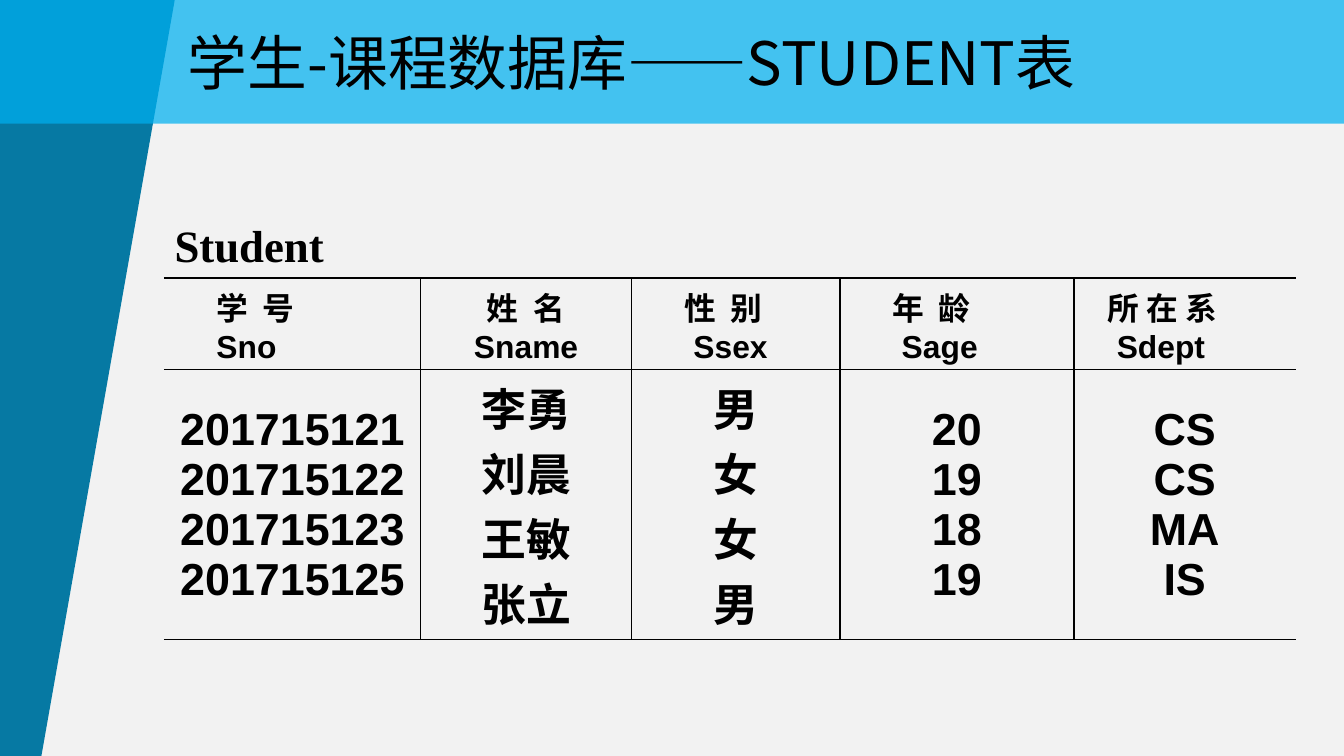
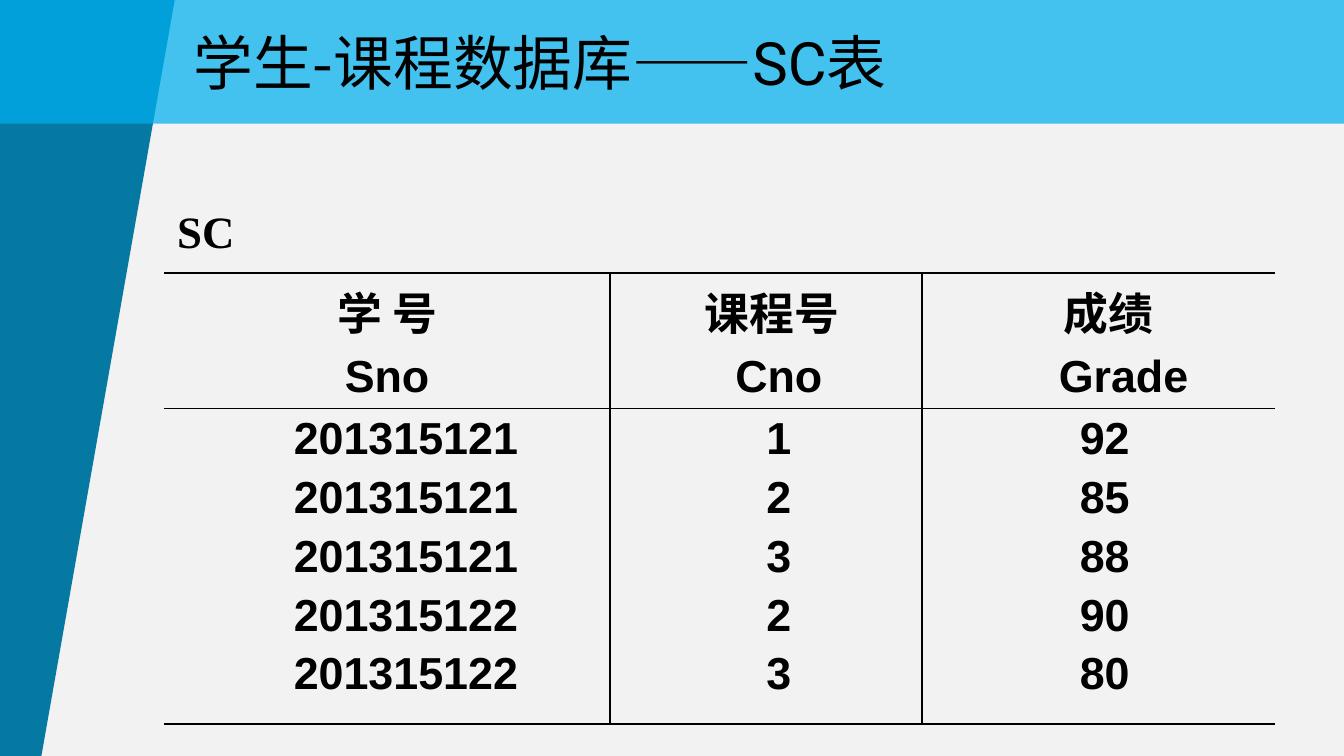
from collections import namedtuple
from copy import deepcopy

from lxml.etree import SubElement
from pptx import Presentation
from pptx.dml.color import RGBColor
from pptx.enum.shapes import MSO_SHAPE as Shape
from pptx.enum.text import MSO_ANCHOR as Anchor, PP_ALIGN as Align
from pptx.oxml.ns import qn
from pptx.util import Inches, Pt

PAPER = RGBColor(0xF2, 0xF2, 0xF2)
DEEP_BLUE = RGBColor(0x06, 0x79, 0xA3)
SKY_BLUE = RGBColor(0x00, 0xB0, 0xF0)
BLACK = RGBColor(0, 0, 0)
HAN_FONT = "Noto Sans CJK SC"
BAND_HEIGHT = 0.92
NO_TABLE_STYLE = "{2D5ABB26-0587-4C30-8999-92F81FD0307C}"

# Box: lengths in inches
Box = namedtuple("Box", "left top width height")
# Line: text, left margin in inches, extra letter spacing in points
Line = namedtuple("Line", "text margin spread", defaults=(0, 0))
# Column: width, header lines, header alignment, values, margin of the values
Column = namedtuple("Column", "width header align values margin", defaults=(0,))
# Look: header size, body size, percent of space between lines, anchor
Look = namedtuple("Look", "header_size body_size gap anchor")


def style_span(span, font, size, bold=False, spread=0):
    span.font.name, span.font.size, span.font.bold = font, Pt(size), bold
    span.font.color.rgb = BLACK
    props = span.font._element
    SubElement(props, qn("a:ea")).set("typeface", HAN_FONT)
    if spread:
        props.set("spc", str(round(spread * 100)))


def add_text(page, box, parts, size, bold=False, anchor=Anchor.TOP, wrap=False):
    """Place one line made of (text, font) parts."""
    frame = page.shapes.add_textbox(*map(Inches, box)).text_frame
    frame.word_wrap, frame.vertical_anchor = wrap, anchor
    for text, font in parts:
        span = frame.paragraphs[0].add_run()
        span.text = text
        style_span(span, font, size, bold)


def fill_plain(shape, colour):
    shape.shadow.inherit = False
    shape.fill.solid()
    shape.fill.fore_color.rgb = colour
    shape.line.fill.background()


def add_frame(page):
    """Background, slanted side panel and translucent title band."""
    page.background.fill.solid()
    page.background.fill.fore_color.rgb = PAPER
    outline = [(-0.01, -0.01), (1.3, 0), (0.3, 5.67), (-0.01, 5.66)]
    points = [(Inches(x), Inches(y)) for x, y in outline]
    builder = page.shapes.build_freeform(*points[0], scale=1.0)
    builder.add_line_segments(points[1:], close=True)
    fill_plain(builder.convert_to_shape(), DEEP_BLUE)

    band = page.shapes.add_shape(
        Shape.RECTANGLE, *map(Inches, (-0.01, 0, 10.01, BAND_HEIGHT)))
    fill_plain(band, SKY_BLUE)
    colour = band._element.spPr.find(qn("a:solidFill"))[0]
    SubElement(colour, qn("a:alpha")).set("val", "72000")


def set_borders(cell, drawn):
    props = cell._tc.get_or_add_tcPr()
    for side in "LRTB":
        edge = SubElement(props, qn(f"a:ln{side}"), w=str(Pt(1)))
        if side in drawn:
            fill = SubElement(edge, qn("a:solidFill"))
            SubElement(fill, qn("a:srgbClr")).set("val", str(BLACK))
        else:
            SubElement(edge, qn("a:noFill"))


def style_line(para, line, size, align, gap):
    para.alignment = align
    props = para._p.get_or_add_pPr()
    props.set("marL", str(Inches(line.margin)))
    if gap:
        before = SubElement(props, qn("a:spcBef"))
        SubElement(before, qn("a:spcPct")).set("val", str(gap * 1000))
    style_span(para.runs[0], "Arial", size, True, line.spread)
    # The paragraph mark takes the font of its text
    mark = SubElement(para._p, qn("a:endParaRPr"))
    source = para.runs[0].font._element
    mark.attrib.update(source.attrib)
    mark.extend(deepcopy(list(source)))


def fill_cell(cell, lines, size, align, look):
    cell.fill.background()
    cell.vertical_anchor = look.anchor
    cell.margin_left = cell.margin_right = Inches(0.1)
    cell.margin_top = cell.margin_bottom = Inches(0.04)
    cell.text_frame.text = "\n".join(line.text for line in lines)
    for index, (para, line) in enumerate(zip(cell.text_frame.paragraphs, lines)):
        style_line(para, line, size, align, look.gap if index else 0)


def add_relation(page, left, top, heights, columns, look):
    """Table with a header row and one body row, open at both sides."""
    width = sum(column.width for column in columns)
    table = page.shapes.add_table(
        2, len(columns), *map(Inches, (left, top, width, sum(heights)))).table
    table.first_row = table.horz_banding = False
    table._tbl.tblPr.find(qn("a:tableStyleId")).text = NO_TABLE_STYLE
    for row, height in zip(table.rows, heights):
        row.height = Inches(height)
    for index, column in enumerate(columns):
        table.columns[index].width = Inches(column.width)
        sides = "TB" + "L" * (index > 0) + "R" * (index < len(columns) - 1)
        values = [Line(text, column.margin) for text in column.values.split()]
        contents = [(column.header, look.header_size, column.align),
                    (values, look.body_size, Align.CENTER)]
        for row, (lines, size, align) in enumerate(contents):
            cell = table.cell(row, index)
            set_borders(cell, sides)
            fill_cell(cell, lines, size, align, look)


def add_page(deck, title_box, title, label_box, label):
    page = deck.slides.add_slide(deck.slide_layouts[6])
    add_frame(page)
    add_text(page, title_box, title, 32, anchor=Anchor.MIDDLE, wrap=True)
    add_text(page, label_box, [(label, "Times New Roman")], 24, bold=True)
    return page


def student_page(deck):
    page = add_page(deck, Box(1.3, 0, 7.44, BAND_HEIGHT),
                    [("学生-课程数据库——STUDENT表", HAN_FONT)],
                    Box(1.2, 1.57, 1.42, 0.5), "Student")
    wide = 2
    columns = [
        Column(1.91, [Line("学 号", 0.29, wide), Line("Sno", 0.29)], Align.LEFT,
               "201715121 201715122 201715123 201715125"),
        Column(1.57, [Line("姓 名", 0, wide), Line("Sname")], Align.CENTER,
               "李勇 刘晨 王敏 张立"),
        Column(1.55, [Line("性 别", 0.29, wide), Line("Ssex", 0.36)], Align.LEFT,
               "男 女 女 男"),
        Column(1.74, [Line("年 龄", 0.29, wide), Line("Sage", 0.36)], Align.LEFT,
               "20 19 18 19"),
        Column(1.65, [Line("所 在 系", 0.15), Line("Sdept", 0.22)], Align.LEFT,
               "CS CS MA IS"),
    ]
    add_relation(page, 1.22, 2.07, (0.68, 2.01), columns,
                 Look(17, 24, 0, Anchor.MIDDLE))


def course_choice_page(deck):
    page = add_page(deck, Box(1.34, 0, 6.02, BAND_HEIGHT),
                    [("学生-课程数据库——", HAN_FONT), ("SC表", "Roboto")],
                    Box(1.22, 1.47, 0.79, 0.5), "SC")
    columns = [
        Column(3.32, [Line("学 号"), Line("Sno")], Align.CENTER,
               "201315121 201315121 201315121 201315122 201315122", 0.28),
        Column(2.32, [Line("课程号", 0.09), Line("Cno", 0.19)], Align.CENTER,
               "1 2 3 2 3", 0.19),
        Column(2.63, [Line("成绩", 0.15), Line("Grade", 0.37)], Align.CENTER,
               "92 85 88 90 80", 0.09),
    ]
    add_relation(page, 1.22, 2.03, (1.01, 2.22), columns,
                 Look(24, 24, 20, Anchor.TOP))


def main():
    deck = Presentation()
    deck.slide_width = Inches(10)
    deck.slide_height = deck.slide_width * 9 // 16
    student_page(deck)
    course_choice_page(deck)
    deck.save("out.pptx")


if __name__ == "__main__":
    main()
